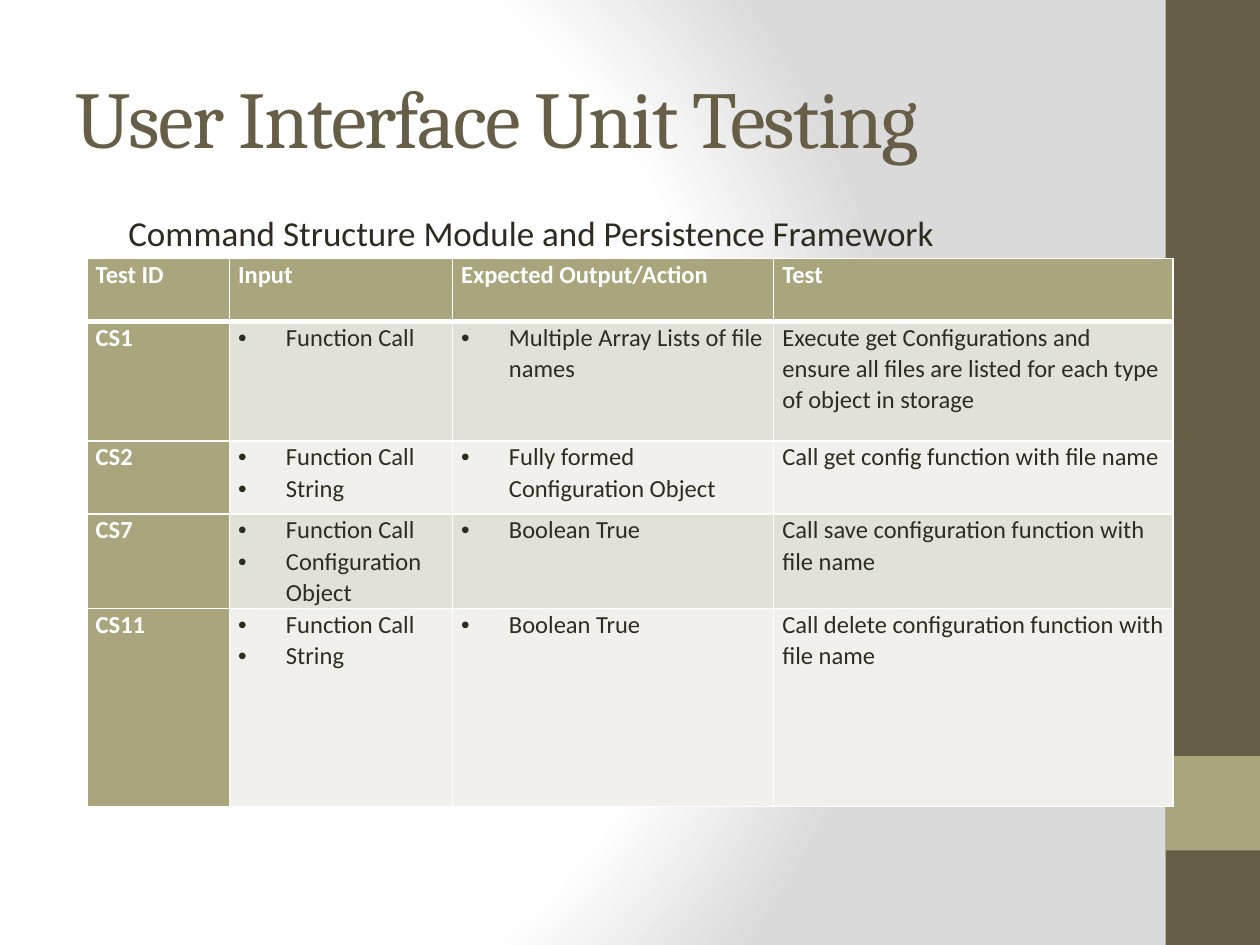
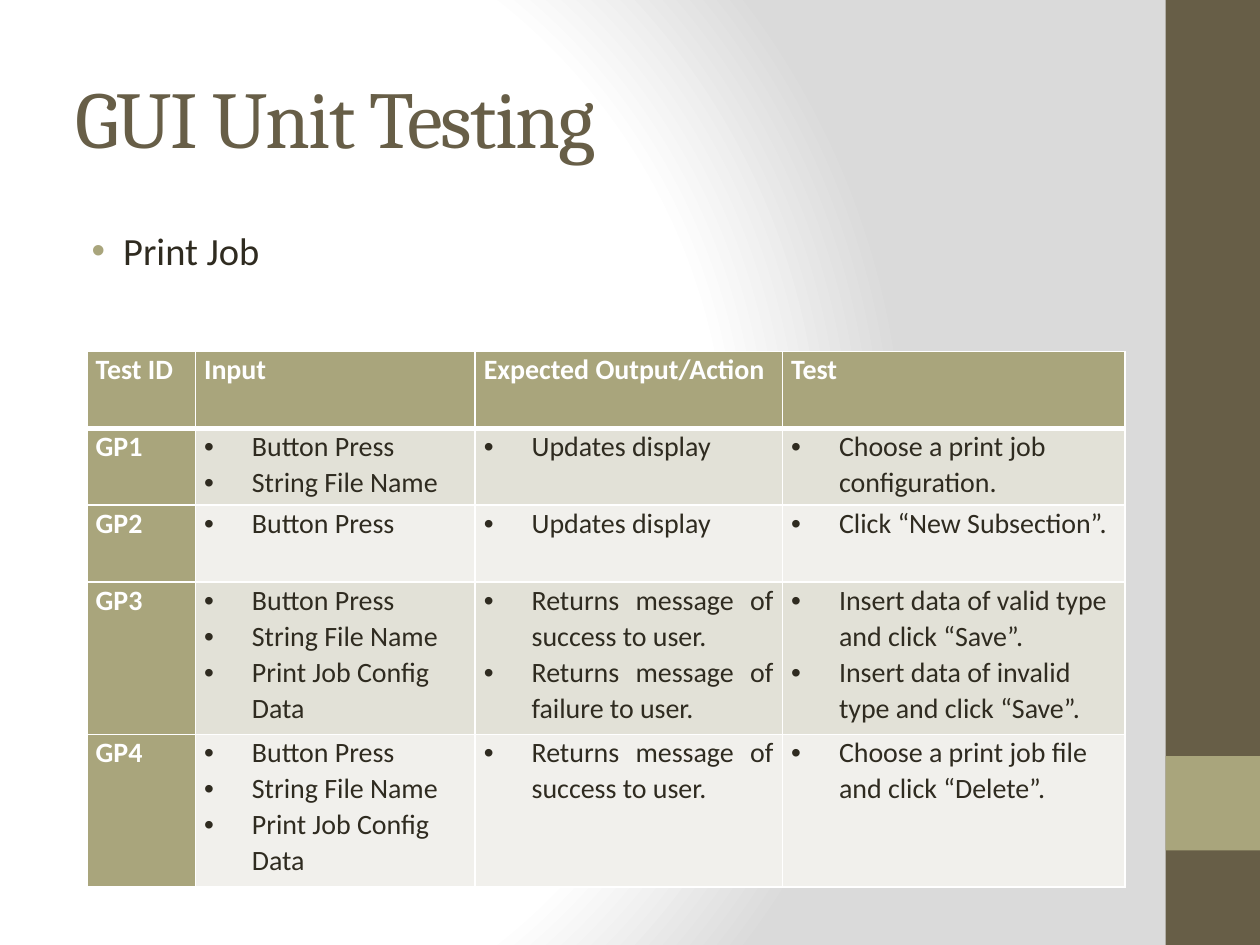
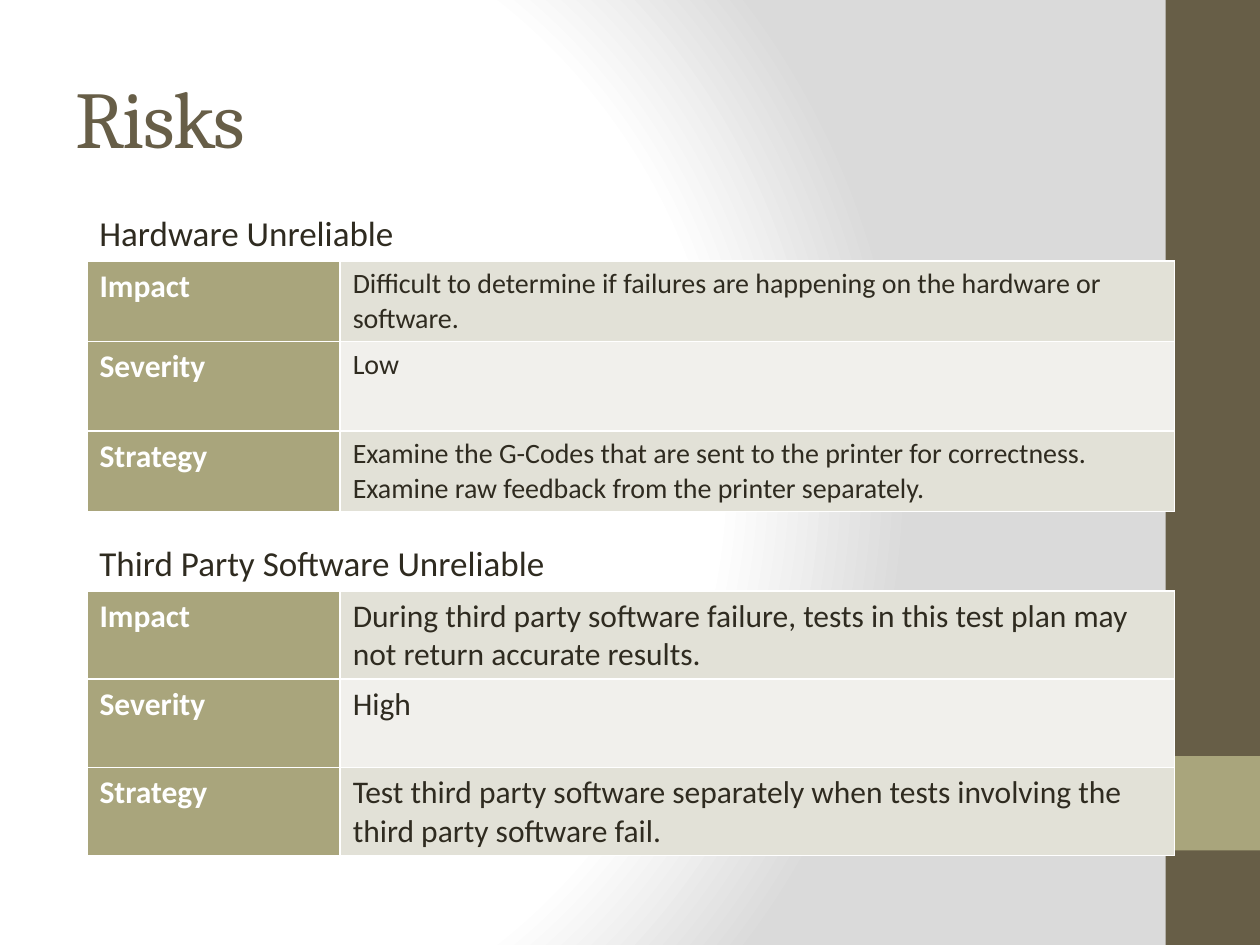
from pptx import Presentation
from pptx.dml.color import RGBColor
from pptx.enum.shapes import MSO_SHAPE
from pptx.enum.text import MSO_ANCHOR, PP_ALIGN
from pptx.oxml import parse_xml
from pptx.oxml.ns import nsdecls, qn
from pptx.util import Inches, Pt

RECTANGLE = MSO_SHAPE.RECTANGLE
MIDDLE, TOP = MSO_ANCHOR.MIDDLE, MSO_ANCHOR.TOP
LEFT, JUSTIFY = PP_ALIGN.LEFT, PP_ALIGN.JUSTIFY

WHITE, GREY = "FFFFFF", "DADADA"
BROWN, OLIVE, INK = "675E47", "A9A57C", "2F2B20"
STRIPES = ("E2E1D7", "F1F0EC")
HEADING_FONT, BODY_FONT = "Cambria", "Calibri"

TITLE_BOX = (0.5, 0.3, 8.33, 1.25)
BODY_BOX = (0.5, 1.75, 8.33, 5.25)
BAND_BOX = (9.25, 0, 0.75, 7.5)
TABLE_LEFT, TABLE_WIDTH, CAPTION_HEIGHT = 0.69, 8.62, 0.44

COMMAND_TESTS = [
    ("Test ID", "Input", "Expected Output/Action", "Test"),
    ("CS1", ["Function Call"], ["Multiple Array Lists of file names"],
     "Execute get Configurations and ensure all files are listed "
     "for each type of object in storage"),
    ("CS2", ["Function Call", "String"], ["Fully formed Configuration Object"],
     "Call get config function with file name"),
    ("CS7", ["Function Call", "Configuration Object"], ["Boolean True"],
     "Call save configuration function with file name"),
    ("CS11", ["Function Call", "String"], ["Boolean True"],
     "Call delete configuration function with file name"),
]
PRINT_INPUTS = ["Button Press", "String File Name", "Print Job Config Data"]
SUCCESS = "Returns message of success to user."
PRINT_TESTS = [
    ("Test ID", "Input", "Expected Output/Action", "Test"),
    ("GP1", PRINT_INPUTS[:2], ["Updates display"],
     ["Choose a print job configuration."]),
    ("GP2", PRINT_INPUTS[:1], ["Updates display"],
     ["Click “New Subsection”."]),
    ("GP3", PRINT_INPUTS, [SUCCESS, "Returns message of failure to user."],
     ["Insert data of valid type and click “Save”.",
      "Insert data of invalid type and click “Save”."]),
    ("GP4", PRINT_INPUTS, [SUCCESS],
     ["Choose a print job file and click “Delete”."]),
]
HARDWARE_RISK = [
    ("Impact", "Difficult to determine if failures are happening "
               "on the hardware or software."),
    ("Severity", "Low"),
    ("Strategy", "Examine the G-Codes that are sent to the printer for "
                 "correctness. Examine raw feedback from the printer separately."),
]
SOFTWARE_RISK = [
    ("Impact", "During third party software failure, tests in this test plan "
               "may not return accurate results."),
    ("Severity", "High"),
    ("Strategy", "Test third party software separately when tests involving "
                 "the third party software fail."),
]


def color(value):
    return RGBColor.from_string(value)


def inches(box):
    return [Inches(length) for length in box]


def set_all(target, values):
    for name, value in values.items():
        setattr(target, name, value)


def add_bullet(para, indent, hanging, bullet_color):
    properties = para._p.get_or_add_pPr()
    properties.set("marL", str(Inches(indent)))
    properties.set("indent", str(-Inches(hanging)))
    for xml in (
        f'<a:buClr {nsdecls("a")}><a:srgbClr val="{bullet_color}"/></a:buClr>',
        f'<a:buFont {nsdecls("a")} typeface="Arial"/>',
        f'<a:buChar {nsdecls("a")} char="•"/>',
    ):
        properties.append(parse_xml(xml))


def write(para, text, size, ink=INK, bold=False, font=BODY_FONT):
    span = para.add_run()
    span.text = text
    set_all(span.font, {"size": Pt(size), "bold": bold, "name": font})
    span.font.color.rgb = color(ink)
    return span


def add_text(page, box, text, size, anchor=TOP, **style):
    frame = page.shapes.add_textbox(*inches(box)).text_frame
    set_all(frame, {"word_wrap": True, "vertical_anchor": anchor})
    return write(frame.paragraphs[0], text, size, **style)


# Shared page parts
def paint_background(master):
    master.background.fill.gradient()
    gradient = master.element.find(".//" + qn("a:gradFill"))
    stops = "".join(
        f'<a:gs pos="{place * 1000}"><a:srgbClr val="{shade}"/></a:gs>'
        for place, shade in ((0, WHITE), (75, WHITE), (100, GREY)))
    gradient.getparent().replace(gradient, parse_xml(
        f'<a:gradFill {nsdecls("a")} rotWithShape="1"><a:gsLst>{stops}</a:gsLst>'
        '<a:path path="circle"><a:fillToRect l="20000" t="50000" r="100000" '
        'b="50000"/></a:path></a:gradFill>'))


def add_side_band(page, box):
    left, top, width, height = box
    accent = (left, top + 0.8 * height, width, width)
    for part, fill in ((box, BROWN), (accent, OLIVE)):
        band = page.shapes.add_shape(RECTANGLE, *inches(part))
        band.shadow.inherit = False
        band.fill.solid()
        band.fill.fore_color.rgb = color(fill)
        band.line.fill.background()


def add_page(deck, title):
    page = deck.slides.add_slide(deck.slide_layouts[6])
    add_side_band(page, BAND_BOX)
    span = add_text(page, TITLE_BOX, title, 46, anchor=MIDDLE,
                    ink=BROWN, font=HEADING_FONT)
    span._r.get_or_add_rPr().set("spc", "-100")
    return page


# Tables
def paint_cell(cell, fill, top=1, bottom=1):
    cell.fill.solid()
    cell.fill.fore_color.rgb = color(fill)
    properties = cell._tc.get_or_add_tcPr()
    borders = (("lnL", 1), ("lnR", 1), ("lnT", top), ("lnB", bottom))
    for place, (side, width) in enumerate(borders):
        properties.insert(place, parse_xml(
            f'<a:{side} {nsdecls("a")} w="{Pt(width)}"><a:solidFill>'
            f'<a:srgbClr val="{WHITE}"/></a:solidFill></a:{side}>'))


def add_grid(page, left, top, columns, heights):
    box = (left, top, sum(columns), sum(heights))
    table = page.shapes.add_table(len(heights), len(columns), *inches(box)).table
    set_all(table, {"first_row": False, "horz_banding": False})
    for column, width in zip(table.columns, columns):
        column.width = Inches(width)
    for row, height in zip(table.rows, heights):
        row.height = Inches(height)
    return table


def add_test_table(page, top, columns, heights, rows, size, justified=(0,)):
    table = add_grid(page, TABLE_LEFT, top, columns, heights)
    margins = dict(margin_left=Inches(0.07), margin_right=Inches(0.07),
                   margin_top=0, margin_bottom=0)
    for r, row in enumerate(rows):
        for c, content in enumerate(row):
            cell = table.cell(r, c)
            heading = r == 0 or c == 0
            paint_cell(cell, OLIVE if heading else STRIPES[(r - 1) % 2],
                       top=3 if r == 1 else 1, bottom=3 if r == 0 else 1)
            set_all(cell, margins)
            bulleted = isinstance(content, list)
            ink = WHITE if heading else INK
            for i, text in enumerate(content if bulleted else [content]):
                frame = cell.text_frame
                para = frame.add_paragraph() if i else frame.paragraphs[0]
                align = JUSTIFY if r == 0 or c in justified else LEFT
                set_all(para, {"line_spacing": 1.05, "alignment": align})
                if bulleted:
                    add_bullet(para, 0.38, 0.38, ink)
                write(para, text, size, ink, heading)


def add_risk(page, top, caption, heights, rows, size):
    caption_box = (TABLE_LEFT, top, TABLE_WIDTH, CAPTION_HEIGHT)
    table = add_grid(page, TABLE_LEFT, top + CAPTION_HEIGHT, (2.01, 6.62), heights)
    for r, (label, text) in enumerate(rows):
        label_cell, text_cell = table.cell(r, 0), table.cell(r, 1)
        paint_cell(label_cell, OLIVE)
        paint_cell(text_cell, STRIPES[r % 2])
        write(label_cell.text_frame.paragraphs[0], label, 18, WHITE, True)
        write(text_cell.text_frame.paragraphs[0], text, size)
    add_text(page, caption_box, caption, 20)


# Slides
def build_interface_tests(deck):
    page = add_page(deck, "User Interface Unit Testing")
    add_test_table(page, 2.05, (1.13, 1.77, 2.55, 3.17),
                   (0.5, 0.95, 0.58, 0.75, 1.57), COMMAND_TESTS, 14)
    add_text(page, (0.92, 1.63, TABLE_WIDTH, CAPTION_HEIGHT),
             "Command Structure Module and Persistence Framework", 20)


def build_print_tests(deck):
    page = add_page(deck, "GUI Unit Testing")
    frame = page.shapes.add_textbox(*inches(BODY_BOX)).text_frame
    frame.word_wrap = True
    para = frame.paragraphs[0]
    add_bullet(para, 0.38, 0.25, OLIVE)
    write(para, "Print Job", 22)
    add_test_table(page, 2.79, (0.86, 2.22, 2.44, 2.72),
                   (0.61, 0.61, 0.61, 1.21, 1.21), PRINT_TESTS, 16,
                   justified=(0, 2))


def build_risks(deck):
    page = add_page(deck, "Risks")
    add_risk(page, 1.63, "Hardware Unreliable", (0.64, 0.71, 0.64),
             HARDWARE_RISK, 16)
    add_risk(page, 4.25, "Third Party Software Unreliable", (0.7,) * 3,
             SOFTWARE_RISK, 18)


def main():
    deck = Presentation()
    set_all(deck, {"slide_width": Inches(10), "slide_height": Inches(7.5)})
    paint_background(deck.slide_master)
    build_interface_tests(deck)
    build_print_tests(deck)
    build_risks(deck)
    deck.save("out.pptx")


if __name__ == "__main__":
    main()
